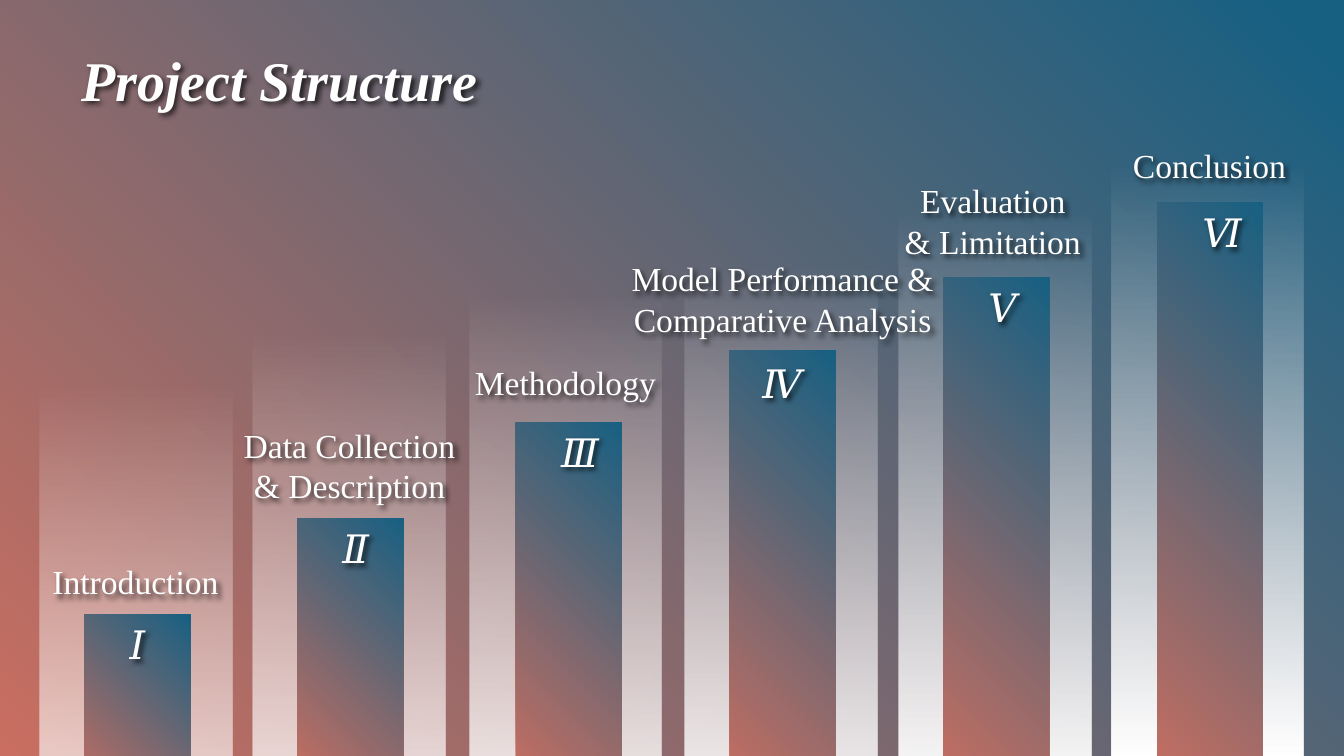
from dataclasses import dataclass

from lxml import etree
from pptx import Presentation
from pptx.dml.color import RGBColor
from pptx.enum.shapes import MSO_SHAPE
from pptx.enum.text import MSO_ANCHOR, MSO_AUTO_SIZE, PP_ALIGN
from pptx.oxml.ns import qn
from pptx.util import Cm, Pt

RECT = MSO_SHAPE.RECTANGLE
CENTER = PP_ALIGN.CENTER
TOP = MSO_ANCHOR.TOP
FIT_SHAPE = MSO_AUTO_SIZE.SHAPE_TO_FIT_TEXT
TITLE_ONLY = 5


@dataclass(frozen=True)
class Theme:
    font: str = "Times New Roman"
    white: str = "FFFFFF"
    coral: str = "C96E60"
    teal: str = "186082"
    shadow: str = "000000"
    title: int = 40
    numeral: int = 28
    label: int = 24


@dataclass(frozen=True)
class Step:
    """One stair; all lengths in centimetres."""
    numeral: str
    lines: tuple[str, ...]
    beam_center: float
    beam_top: float
    bar_left: float
    bar_top: float
    bar_height: float
    label_left: float
    label_top: float
    label_width: float = 7.06
    numeral_indent: float = 0.89
    numeral_drop: float = 0.02


THEME = Theme()
BEAM_LENGTH, BEAM_WIDTH = 19.05, 4.85
BAR_WIDTH = 2.67
STEPS = (
    Step("Ⅰ", ("Introduction",), 3.43, 12.67, 2.13, 15.49, 4.78, 0.33, 14.02, 6.17),
    Step("Ⅱ", ("Data Collection", "& Description"),
         8.79, 11.38, 7.49, 13.06, 6.73, 5.28, 10.57),
    Step("Ⅲ", ("Methodology",), 14.25, 10.41, 13.0, 10.64, 9.22, 10.72, 8.99),
    Step("Ⅳ", ("Model Performance &", "Comparative Analysis"),
         19.69, 9.68, 18.39, 8.84, 11.18, 14.15, 6.38, 11.15, 0.53, 0.08),
    Step("Ⅴ", ("Evaluation", "& Limitation"),
         25.07, 8.31, 23.77, 6.99, 13.08, 21.49, 4.42),
    Step("Ⅵ", ("Conclusion",), 30.43, 7.11, 29.16, 5.11, 14.96, 26.95, 3.53),
)


def set_gradient(fill, start: str, end: str, angle: float,
                 first: float = 0, last: float = 1) -> None:
    fill.gradient()
    fill.gradient_angle = angle
    for stop, color, position in zip(fill.gradient_stops, (start, end), (first, last)):
        stop.color.rgb = RGBColor.from_string(color)
        stop.position = position


def add_alpha(color_element, percent: int) -> None:
    etree.SubElement(color_element, qn("a:alpha")).set("val", str(percent * 1000))


def add_text_shadow(sp) -> None:
    effects = etree.SubElement(sp._element.spPr, qn("a:effectLst"))
    shadow = etree.SubElement(effects, qn("a:outerShdw"), blurRad="50800",
                              dist="38100", dir="2700000", algn="tl")
    add_alpha(etree.SubElement(shadow, qn("a:srgbClr"), val=THEME.shadow), 70)


def write(sp, *lines: str, size: int, bold: bool = False, italic: bool = False,
          wrap: bool = True) -> None:
    tf = sp.text_frame
    tf.word_wrap = wrap
    tf.auto_size = FIT_SHAPE
    tf.vertical_anchor = TOP
    for i, line in enumerate(lines):
        p = tf.paragraphs[0] if i == 0 else tf.add_paragraph()
        p.alignment = CENTER
        r = p.add_run()
        r.text = line
        r.font.name = THEME.font
        r.font.size = Pt(size)
        r.font.bold = bold
        r.font.italic = italic
        r.font.color.rgb = RGBColor.from_string(THEME.white)
    add_text_shadow(sp)


def add_rect(shapes, left: float, top: float, width: float, height: float):
    sp = shapes.add_shape(RECT, Cm(left), Cm(top), Cm(width), Cm(height))
    sp.shadow.inherit = False
    sp.line.fill.background()
    return sp


def add_beam(shapes, step: Step) -> None:
    sp = add_rect(shapes, step.beam_center - BEAM_LENGTH / 2, step.beam_top,
                  BEAM_LENGTH, BEAM_WIDTH)
    sp.rotation = 270
    set_gradient(sp.fill, THEME.white, THEME.white, 180, first=0.22)
    add_alpha(next(sp._element.spPr.iter(qn("a:srgbClr"))), 0)


def add_step(shapes, step: Step) -> None:
    group = shapes.add_group_shape().shapes
    bar = add_rect(group, step.bar_left, step.bar_top, BAR_WIDTH, step.bar_height)
    set_gradient(bar.fill, THEME.coral, THEME.teal, 45)

    label_height = 0.23 + 1.04 * len(step.lines)
    label = group.add_textbox(Cm(step.label_left), Cm(step.label_top),
                              Cm(step.label_width), Cm(label_height))
    write(label, *step.lines, size=THEME.label)

    numeral = group.add_textbox(Cm(step.bar_left + step.numeral_indent),
                                Cm(step.bar_top + step.numeral_drop),
                                Cm(BAR_WIDTH - 2 * step.numeral_indent - 0.04), Cm(1.45))
    write(numeral, step.numeral, size=THEME.numeral, italic=True)


def main() -> None:
    prs = Presentation()
    prs.slide_width, prs.slide_height = Cm(33.87), Cm(19.05)
    slide = prs.slides.add_slide(prs.slide_layouts[TITLE_ONLY])
    set_gradient(slide.background.fill, THEME.coral, THEME.teal, 45, last=0.97)

    # Title
    title = slide.shapes.title
    title.left, title.top, title.width, title.height = Cm(1.73), Cm(1.02), Cm(10.62), Cm(1.96)
    write(title, "Project Structure", size=THEME.title, bold=True, italic=True, wrap=False)

    # Light beams behind the stairs
    for step in STEPS:
        add_beam(slide.shapes, step)

    # Stairs with labels and numerals
    for step in STEPS:
        add_step(slide.shapes, step)

    prs.save("out.pptx")


if __name__ == "__main__":
    main()
